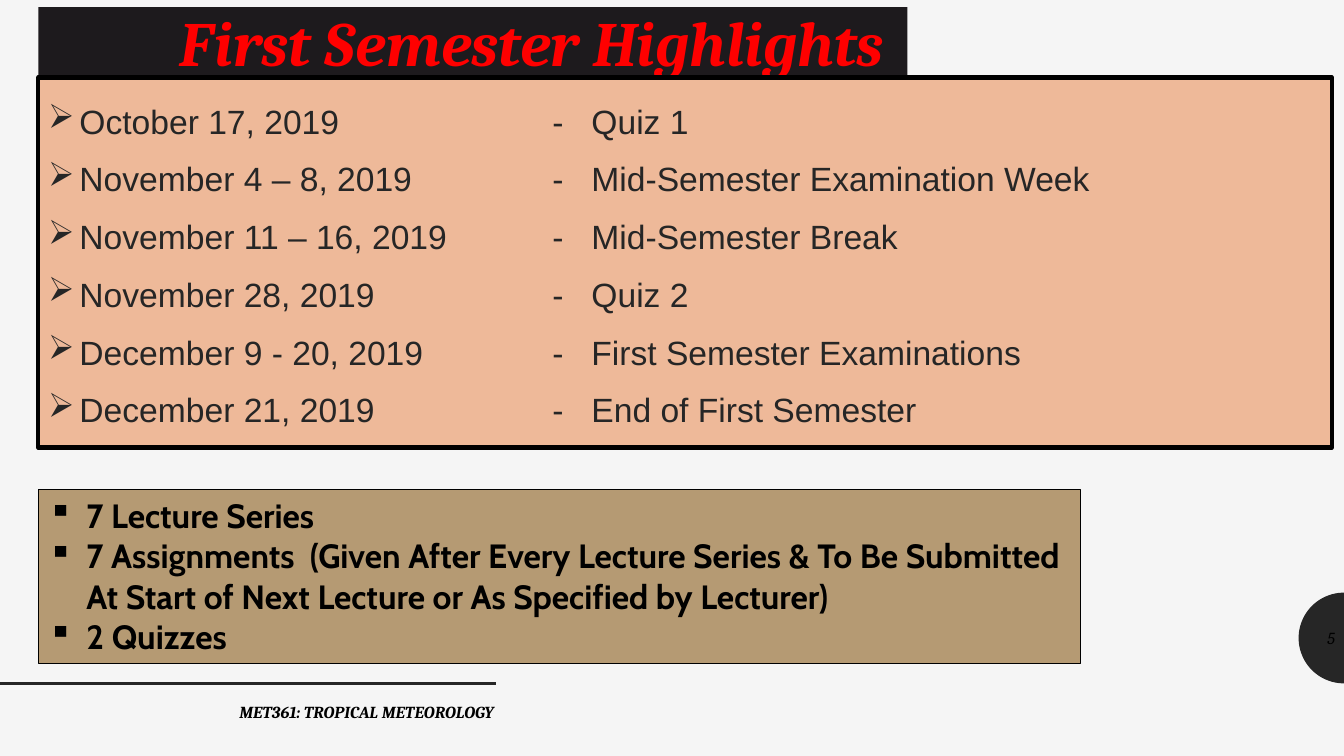
from math import cos, pi, sin

from lxml import etree
from pptx import Presentation
from pptx.dml.color import RGBColor
from pptx.enum.shapes import MSO_CONNECTOR, MSO_SHAPE
from pptx.enum.text import MSO_ANCHOR, PP_ALIGN
from pptx.oxml.ns import qn
from pptx.util import Inches, Pt

RECT = MSO_SHAPE.RECTANGLE
STRAIGHT = MSO_CONNECTOR.STRAIGHT
TOP, MIDDLE = MSO_ANCHOR.TOP, MSO_ANCHOR.MIDDLE
LEFT, RIGHT, JUSTIFY = PP_ALIGN.LEFT, PP_ALIGN.RIGHT, PP_ALIGN.JUSTIFY

DARK, BLACK = "262626", "000000"
DATES = [
    ("October 17, 2019", "Quiz 1"),
    ("November 4 – 8, 2019", "Mid-Semester Examination Week"),
    ("November 11 – 16, 2019", "Mid-Semester Break"),
    ("November 28, 2019", "Quiz 2"),
    ("December 9 - 20, 2019", "First Semester Examinations"),
    ("December 21, 2019", "End of First Semester"),
]
COURSEWORK = [
    "7 Lecture Series",
    "7 Assignments  (Given After Every Lecture Series & To Be Submitted "
    "At Start of Next Lecture or As Specified by Lecturer)",
    "2 Quizzes",
]


def rgb(color):
    return RGBColor.from_string(color)


def add_box(s, x, y, w, h, fill, line=None, width=1):
    sp = s.shapes.add_shape(RECT, Inches(x), Inches(y), Inches(w), Inches(h))
    sp.shadow.inherit = False
    sp.fill.solid()
    sp.fill.fore_color.rgb = rgb(fill)
    if line:
        sp.line.color.rgb = rgb(line)
        sp.line.width = Pt(width)
    else:
        sp.line.fill.background()
    return sp


def add_label(s, x, y, w, h):
    return s.shapes.add_textbox(Inches(x), Inches(y), Inches(w), Inches(h))


def write(sp, lines, font, size, color, align=LEFT, anchor=TOP, bold=False, italic=False):
    """Fill a shape with one paragraph per line and return the paragraphs."""
    tf = sp.text_frame
    tf.word_wrap = True
    tf.vertical_anchor = anchor
    tf.text = "\n".join(lines)
    for p in tf.paragraphs:
        p.alignment = align
        p.font.name = font
        p.font.size = Pt(size)
        p.font.bold = bold
        p.font.italic = italic
        p.font.color.rgb = rgb(color)
    return tf.paragraphs


def add_bullet(p, char, indent, tab=None):
    """Give a paragraph a hanging bullet and, if asked, one left tab stop."""
    pPr = p._p.get_or_add_pPr()
    pPr.set("marL", str(Inches(indent)))
    pPr.set("indent", str(-Inches(indent)))
    bullet = etree.Element(qn("a:buChar"), char=char)
    pPr.find(qn("a:defRPr")).addprevious(bullet)
    if tab:
        tabs = etree.Element(qn("a:tabLst"))
        etree.SubElement(tabs, qn("a:tab"), pos=str(Inches(tab)), algn="l")
        bullet.addnext(tabs)


def add_half_disc(s, cx, cy, radius, fill, steps=48):
    """Draw the left half of a disc centred on (cx, cy)."""
    angles = [pi / 2 + pi * i / steps for i in range(steps + 1)]
    points = [(Inches(cx + radius * cos(a)), Inches(cy + radius * sin(a))) for a in angles]
    builder = s.shapes.build_freeform(*points[0])
    builder.add_line_segments(points[1:], close=True)
    sp = builder.convert_to_shape()
    sp.shadow.inherit = False
    sp.fill.solid()
    sp.fill.fore_color.rgb = rgb(fill)
    sp.line.fill.background()


def add_rule(s, x1, x2, y, color, width):
    rule = s.shapes.add_connector(STRAIGHT, Inches(x1), Inches(y), Inches(x2), Inches(y))
    rule.line.color.rgb = rgb(color)
    rule.line.width = Pt(width)
    etree.SubElement(rule._element.spPr, qn("a:effectLst"))


def main():
    prs = Presentation()
    prs.slide_width, prs.slide_height = Inches(13.33), Inches(7.5)
    s = prs.slides.add_slide(prs.slide_layouts[6])
    s.background.fill.solid()
    s.background.fill.fore_color.rgb = rgb("F5F5F5")

    add_half_disc(s, 13.33, 6.33, 0.45, DARK)
    add_rule(s, 0, 4.92, 6.78, DARK, 2)
    footer = add_label(s, 0.83, 6.91, 4.17, 0.4)
    write(footer, ["MET361: TROPICAL METEOROLOGY"], "Cambria", 12, BLACK, RIGHT,
          bold=True, italic=True)
    number = add_label(s, 12.89, 6.13, 0.45, 0.4)
    write(number, ["5"], "Cambria", 12, BLACK, RIGHT, MIDDLE, italic=True)

    title = add_box(s, 0.38, 0.07, 8.62, 0.73, "1D1A1D")
    title.text_frame.margin_right = Inches(0.24)
    heading = write(title, ["First Semester Highlights"], "Cambria", 45, "FF0000", RIGHT,
                    bold=True, italic=True)
    heading[0].line_spacing = 0.9

    calendar = add_box(s, 0.38, 0.77, 12.83, 3.67, "EEB999", BLACK, 3)
    lines = [f"{date}\t-   {event}" for date, event in DATES]
    for p in write(calendar, lines, "Arial", 24, DARK, JUSTIFY, MIDDLE):
        p.line_spacing = 1.12
        p.space_before = Pt(9)
        add_bullet(p, "➢", 0.31, tab=5)

    coursework = add_box(s, 0.38, 4.86, 10.34, 1.72, "B59A73", BLACK, 0.75)
    for p in write(coursework, COURSEWORK, "Cabin", 24, BLACK, bold=True):
        add_bullet(p, "▪", 0.38)

    prs.save("out.pptx")


if __name__ == "__main__":
    main()
